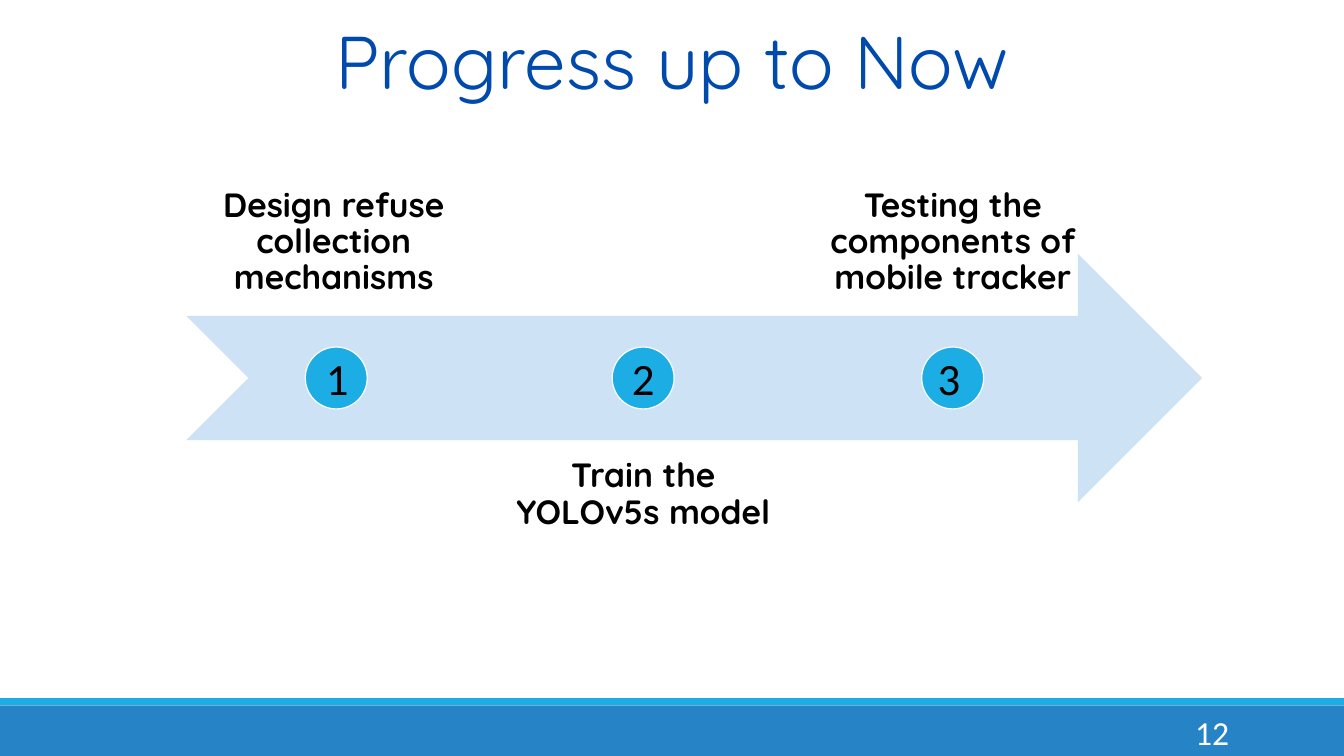
from pptx import Presentation
from pptx.dml.color import RGBColor
from pptx.enum.shapes import MSO_SHAPE
from pptx.enum.text import MSO_ANCHOR, PP_ALIGN
from pptx.util import Cm, Pt

WHITE = RGBColor(0xFF, 0xFF, 0xFF)
BLACK = RGBColor(0x00, 0x00, 0x00)
NAVY = RGBColor(0x00, 0x4A, 0xAD)
BLUE = RGBColor(0x26, 0x83, 0xC6)
CYAN = RGBColor(0x1C, 0xAD, 0xE4)
PALE = RGBColor(0xCD, 0xE3, 0xF5)

WIDTH, HEIGHT = 50.8, 28.58
STEPS = [
    ("Design refuse collection mechanisms", 4.5),
    ("Train the YOLOv5s model", 4.4),
    ("Testing the components of mobile tracker", 4.4),
]


def add_text(slide, box, text, size, font="Quicksand", color=BLACK, bold=False,
             align=PP_ALIGN.LEFT, anchor=MSO_ANCHOR.TOP, inset=None, lead=None):
    frame = slide.shapes.add_textbox(*map(Cm, box)).text_frame
    frame.word_wrap = True
    frame.vertical_anchor = anchor
    if inset is not None:
        frame.margin_left = frame.margin_right = Cm(inset)
        frame.margin_top = frame.margin_bottom = Cm(inset)
    line = frame.paragraphs[0]
    line.alignment = align
    if lead is not None:
        line.line_spacing = lead
    run = line.add_run()
    run.text = text
    run.font.size = Pt(size)
    run.font.name = font
    run.font.bold = bold
    run.font.color.rgb = color


def add_block(slide, kind, box, fill, edge=None):
    shape = slide.shapes.add_shape(kind, *map(Cm, box))
    shape.shadow.inherit = False
    shape.fill.solid()
    shape.fill.fore_color.rgb = fill
    if edge is None:
        shape.line.fill.background()
    else:
        shape.line.color.rgb = edge
        shape.line.width = Pt(1.25)


def add_footer(slide, left, top, width, height):
    strip = 0.26
    add_block(slide, MSO_SHAPE.RECTANGLE,
              (left, top + 0.28, width, height - 0.28), BLUE)
    add_block(slide, MSO_SHAPE.RECTANGLE, (left, top, width, strip), CYAN)
    add_text(slide, (left + 41.25, top + 0.53, 5.46, 1.52), "12", 36,
             font="Calibri", color=WHITE, align=PP_ALIGN.RIGHT,
             anchor=MSO_ANCHOR.MIDDLE)


def add_title(slide, left, top, width, height):
    add_text(slide, (left, top, width, height), "Progress up to Now", 80,
             color=NAVY, align=PP_ALIGN.CENTER, inset=0, lead=Pt(112))


def add_process(slide, left, top, width, height):
    arrow = height * 0.4
    wide, pitch, dot = 11.15, 11.7, 2.34
    add_block(slide, MSO_SHAPE.NOTCHED_RIGHT_ARROW,
              (left, top + height * 0.3, width, arrow), PALE)
    mid = top + (height - dot) / 2
    for i, (label, shift) in enumerate(STEPS):
        x = left + i * pitch
        low = i % 2 == 1
        y = top + height - arrow if low else top
        add_text(slide, (x, y, wide, arrow), label, 36, bold=True,
                 align=PP_ALIGN.CENTER, inset=0.71, lead=0.9,
                 anchor=MSO_ANCHOR.TOP if low else MSO_ANCHOR.BOTTOM)
        add_block(slide, MSO_SHAPE.OVAL, (x + shift, mid, dot, dot), CYAN, WHITE)
    for i in range(len(STEPS)):
        add_text(slide, (left + 5.03 + i * 11.56, mid + 0.02, 1.57, 2.31),
                 str(i + 1), 48, font="Calibri")


def main():
    deck = Presentation()
    deck.slide_width, deck.slide_height = Cm(WIDTH), Cm(HEIGHT)
    slide = deck.slides.add_slide(deck.slide_layouts[6])
    add_footer(slide, 0, 26.39, WIDTH, HEIGHT - 26.39)
    add_title(slide, 10.82, 0, 29.18, 3.84)
    add_process(slide, 7.04, 2.54, 38.4, 23.5)
    deck.save("out.pptx")


if __name__ == "__main__":
    main()
